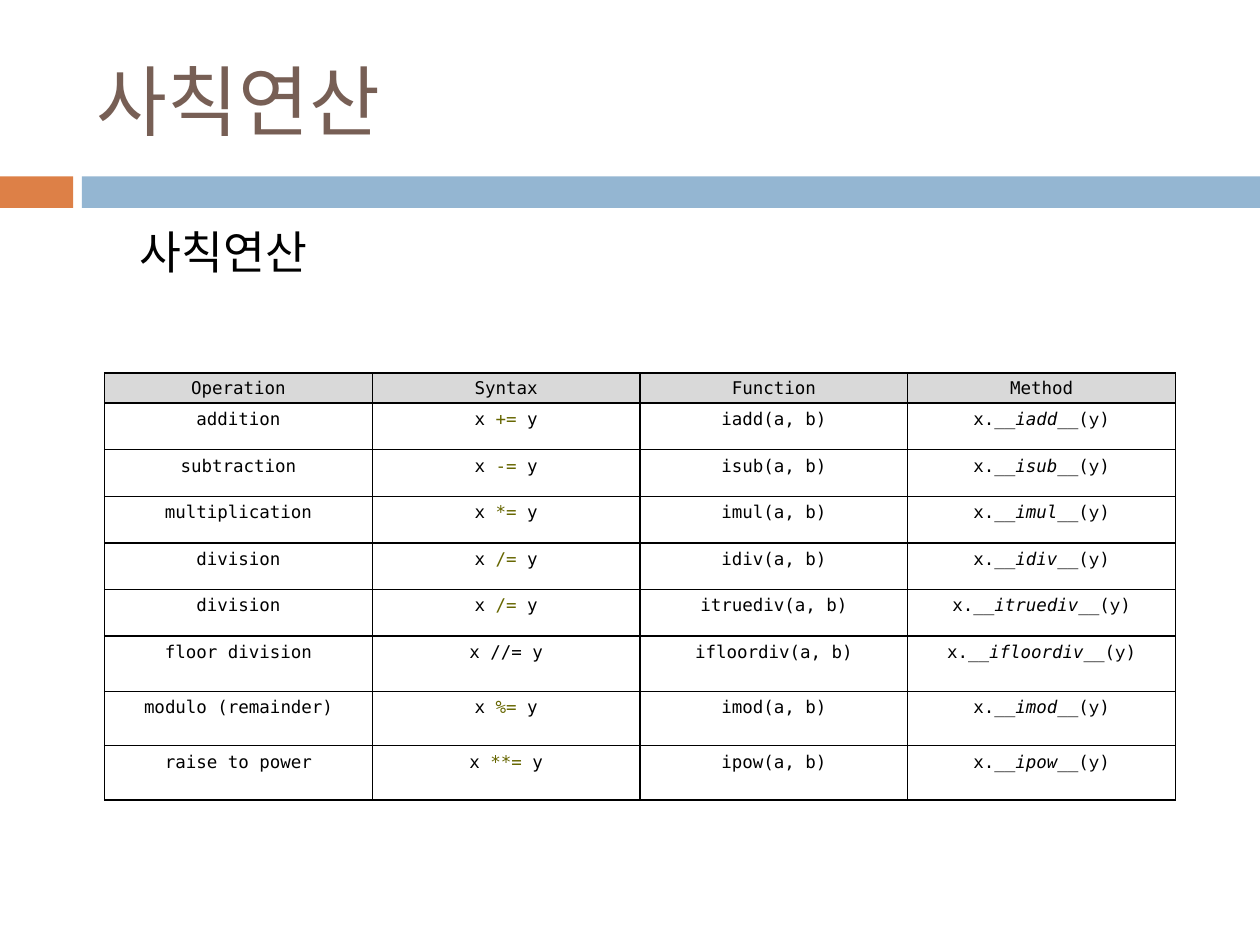
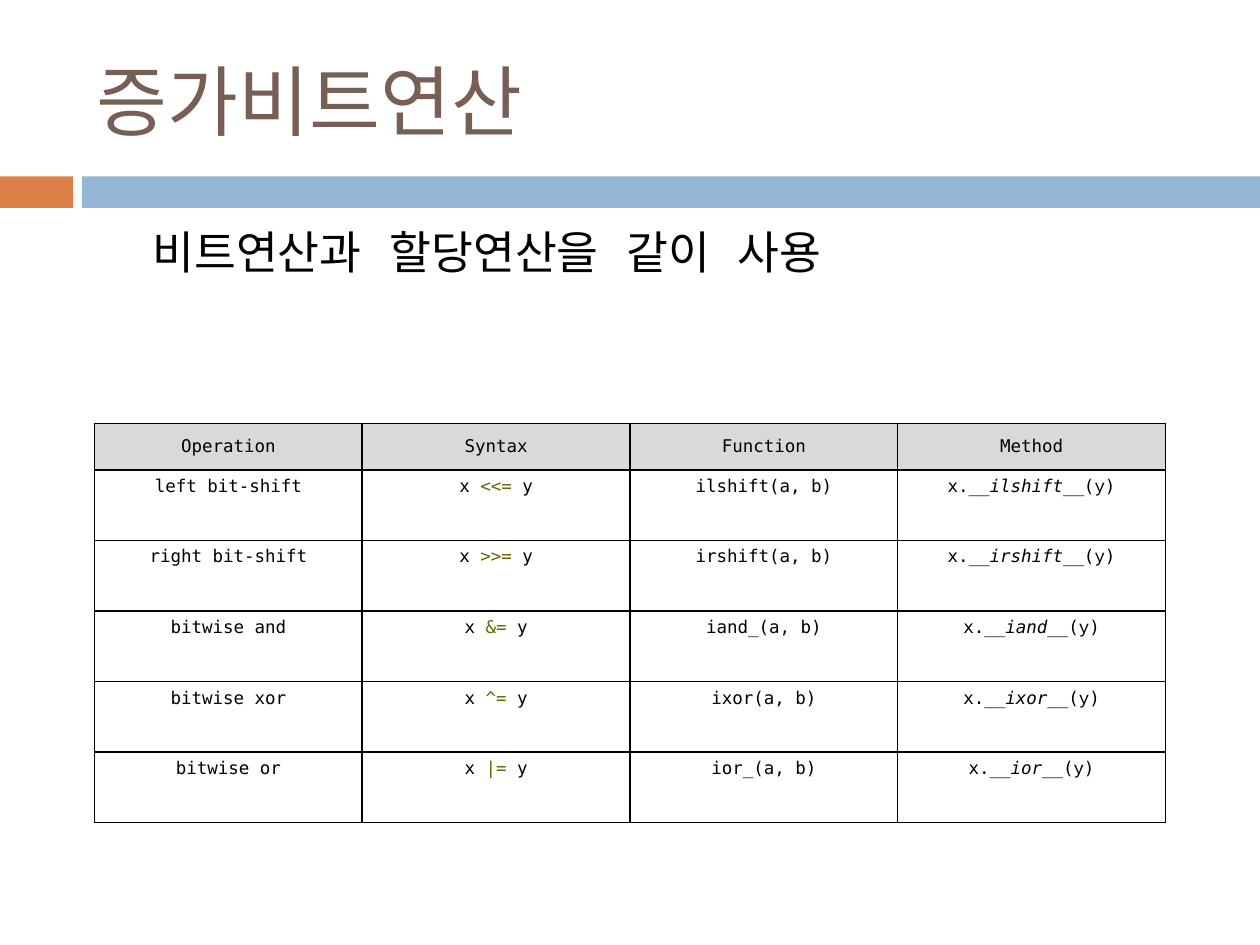
from lxml import etree
from pptx import Presentation
from pptx.dml.color import RGBColor
from pptx.enum.shapes import MSO_SHAPE
from pptx.enum.text import MSO_ANCHOR as Anchor, PP_ALIGN as Align
from pptx.oxml.ns import qn
from pptx.util import Inches, Pt

COLORS = {
    "title": "775F55",
    "text": "000000",
    "operator": "666600",
    "accent": "DD8047",
    "band": "94B6D2",
    "header": "D9D9D9",
    "border": "000000",
}
MONO = "DejaVu Sans Mono"
ARGUMENT_FONT = "Courier New"
TABLE_WIDTH = 8.5
HEADINGS = ("Operation", "Syntax", "Function", "Method")

# operation, operator, function name
ARITHMETIC = (
    ("addition", "+=", "iadd"),
    ("subtraction", "-=", "isub"),
    ("multiplication", "*=", "imul"),
    ("division", "/=", "idiv"),
    ("division", "/=", "itruediv"),
    ("floor division", "//=", "ifloordiv"),
    ("modulo (remainder)", "%=", "imod"),
    ("raise to power", "**=", "ipow"),
)
BITWISE = (
    ("left bit-shift", "<<=", "ilshift"),
    ("right bit-shift", ">>=", "irshift"),
    ("bitwise and", "&=", "iand_"),
    ("bitwise xor", "^=", "ixor"),
    ("bitwise or", "|=", "ior_"),
)
PLAIN_OPERATORS = {"//="}


def rgb(name):
    return RGBColor.from_string(COLORS[name])


def add_run(paragraph, text, size=10, color="text", font=MONO, italic=False):
    run = paragraph.add_run()
    run.text = text
    run.font.size = Pt(size)
    run.font.name = font
    run.font.bold = False
    run.font.italic = italic
    run.font.color.rgb = rgb(color)
    east_asian = etree.SubElement(run.font._element, qn("a:ea"))
    east_asian.set("typeface", font)


def add_band(slide, left, width, color):
    band = slide.shapes.add_shape(
        MSO_SHAPE.RECTANGLE, Inches(left), Inches(1.4), Inches(width), Inches(0.25))
    band.shadow.inherit = False
    band.fill.solid()
    band.fill.fore_color.rgb = rgb(color)
    band.line.fill.background()


def add_text(slide, text, left, top, width, height, anchor=Anchor.TOP, **style):
    box = slide.shapes.add_textbox(
        Inches(left), Inches(top), Inches(width), Inches(height))
    frame = box.text_frame
    frame.word_wrap = True
    frame.vertical_anchor = anchor
    add_run(frame.paragraphs[0], text, **style)


def add_topic_slide(deck, title, subtitle, subtitle_left):
    slide = deck.slides.add_slide(deck.slide_layouts[6])
    add_band(slide, 0, 0.58, "accent")
    add_band(slide, 0.65, 9.35, "band")
    add_text(slide, title, 0.67, 0.25, 8.92, 1.08,
             anchor=Anchor.MIDDLE, size=44, color="title")
    add_text(slide, subtitle, subtitle_left, 1.73, 9.51 - subtitle_left, 1, size=26)
    return slide


def outline_cell(cell):
    properties = cell._tc.get_or_add_tcPr()
    for side in ("lnL", "lnR", "lnT", "lnB"):
        line = etree.SubElement(properties, qn(f"a:{side}"), w=str(Pt(1)))
        fill = etree.SubElement(line, qn("a:solidFill"))
        etree.SubElement(fill, qn("a:srgbClr"), val=COLORS["border"])


def fill_cell(cell, runs):
    """Write (text, format) pairs into an outlined, centred cell."""
    outline_cell(cell)
    cell.fill.background()
    paragraph = cell.text_frame.paragraphs[0]
    paragraph.alignment = Align.CENTER
    for text, style in runs:
        add_run(paragraph, text, **style)


def fill_heading(cell, heading):
    fill_cell(cell, [(heading, {})])
    cell.fill.solid()
    cell.fill.fore_color.rgb = rgb("header")
    cell.vertical_anchor = Anchor.MIDDLE
    cell.margin_left = cell.margin_right = Inches(0.02)
    cell.margin_top = cell.margin_bottom = Inches(0.01)


def operator_row(operation, operator, function):
    """Return the runs of the four cells that describe one operator."""
    if operator in PLAIN_OPERATORS:
        syntax = [(f"x {operator} y", {})]
    else:
        syntax = [("x ", {}), (operator, {"color": "operator"}), (" y", {})]
    method = [
        ("x.", {}),
        (f"__{function.rstrip('_')}__", {"italic": True}),
        ("(", {}),
        ("y", {"font": ARGUMENT_FONT}),
        (")", {}),
    ]
    return [(operation, {})], syntax, [(f"{function}(a, b)", {})], method


def add_operator_table(slide, operators, left, top, row_heights):
    table = slide.shapes.add_table(
        len(row_heights), len(HEADINGS), Inches(left), Inches(top),
        Inches(TABLE_WIDTH), Inches(sum(row_heights))).table
    table.first_row = table.horz_banding = False
    for row, height in zip(table.rows, row_heights):
        row.height = Inches(height)
    for column, heading in enumerate(HEADINGS):
        fill_heading(table.cell(0, column), heading)
    for row, operator in enumerate(operators, start=1):
        for column, runs in enumerate(operator_row(*operator)):
            fill_cell(table.cell(row, column), runs)


def main():
    deck = Presentation()
    deck.slide_width, deck.slide_height = Inches(10), Inches(7.5)

    arithmetic = add_topic_slide(deck, "사칙연산", "사칙연산", 1.01)
    add_operator_table(arithmetic, ARITHMETIC, 0.83, 2.96,
                       [0.24] + [0.37] * 5 + [0.44] + [0.43] * 2)

    bitwise = add_topic_slide(
        deck, "증가비트연산", "비트연산과 할당연산을 같이 사용", 1.11)
    add_operator_table(bitwise, BITWISE, 0.75, 3.36, [0.37] + [0.56] * 5)

    deck.save("out.pptx")


if __name__ == "__main__":
    main()
